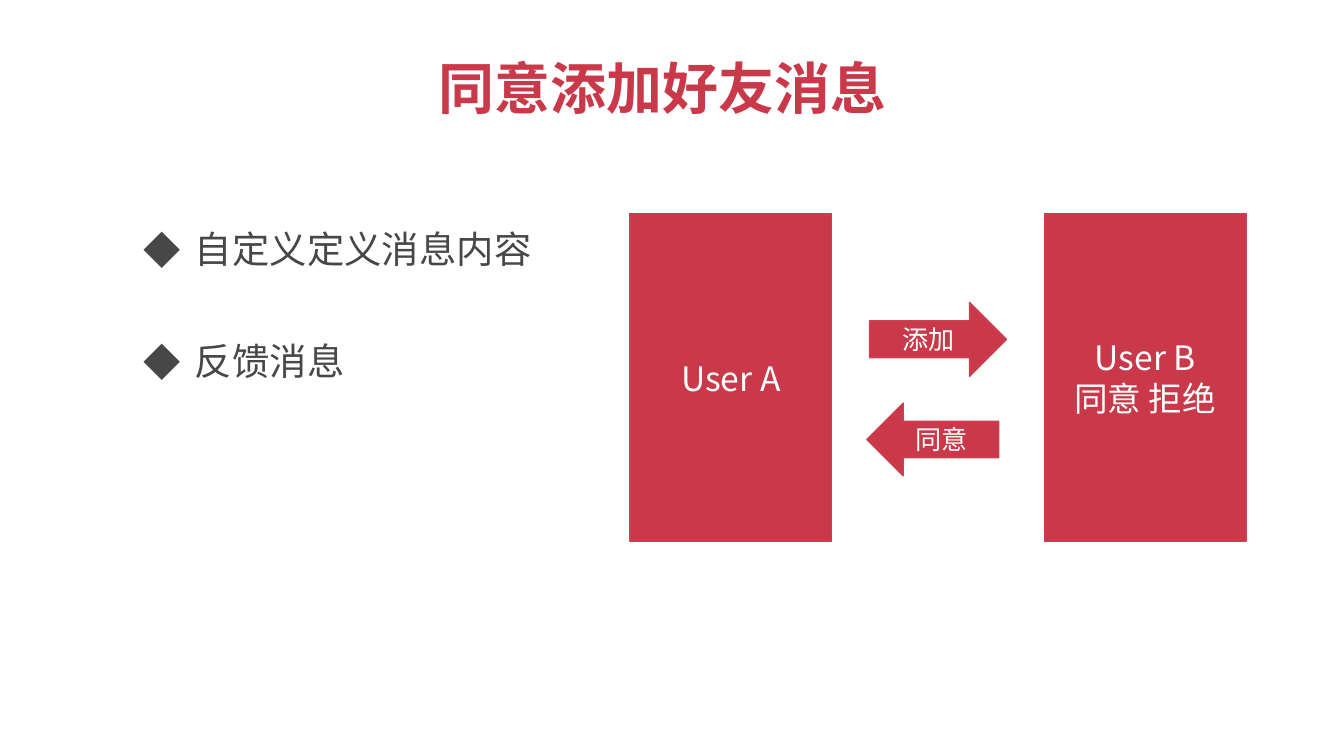
from lxml import etree
from pptx import Presentation
from pptx.dml.color import RGBColor
from pptx.enum.shapes import MSO_SHAPE
from pptx.enum.text import MSO_ANCHOR, MSO_AUTO_SIZE, PP_ALIGN
from pptx.oxml.ns import qn
from pptx.util import Pt

RECT, RIGHT, LEFT = MSO_SHAPE.RECTANGLE, MSO_SHAPE.RIGHT_ARROW, MSO_SHAPE.LEFT_ARROW
MID, FIXED = MSO_ANCHOR.MIDDLE, MSO_AUTO_SIZE.NONE
START, CENTER = PP_ALIGN.LEFT, PP_ALIGN.CENTER
FACE = "Noto Sans CJK SC"
RED, EDGE, GREY, WHITE = "C9394A", "C94251", "474747", "FFFFFF"

TITLE = "同意添加好友消息"
POINTS = ["自定义定义消息内容", "反馈消息"]
USERS = [["User A"], ["User B", "同意 拒绝"]]
ARROWS = [
    (RIGHT, "添加", (465.8, 162, 73.4, 39.6)),
    (LEFT, "同意", (464.4, 216, 70.6, 38.9)),
]


def color(code):
    return RGBColor.from_string(code)


def place(shape, box):
    for name, value in zip(("left", "top", "width", "height"), box):
        setattr(shape, name, Pt(value))


def write(shape, lines, size, tint, align=CENTER, bold=False):
    frame = shape.text_frame
    form = {"word_wrap": True, "auto_size": FIXED, "vertical_anchor": MID}
    for name, value in form.items():
        setattr(frame, name, value)
    frame.text = "\n".join(lines)
    look = {"size": Pt(size), "name": FACE, "bold": bold}
    for para in frame.paragraphs:
        para.alignment = align
        para.space_before = Pt(0)
        for run in para.runs:
            run.font.color.rgb = color(tint)
            for name, value in look.items():
                setattr(run.font, name, value)
            latin = run.font._element.find(qn("a:latin"))
            asian = etree.Element(qn("a:ea"), typeface=FACE)
            latin.addnext(asian)


def bullet(para):
    para.level = 1
    props = para._p.get_or_add_pPr()
    props.set("marL", str(Pt(63.4)))
    props.set("indent", str(Pt(-27.4)))
    etree.SubElement(props, qn("a:buFont"), typeface=FACE)
    etree.SubElement(props, qn("a:buChar"), char="◆")


def block(slide, kind, lines, size, box):
    shape = slide.shapes.add_shape(kind, *map(Pt, box))
    shape.shadow.inherit = False
    shape.fill.solid()
    shape.fill.fore_color.rgb = color(RED)
    shape.line.color.rgb = color(EDGE)
    shape.line.width = Pt(0.75)
    write(shape, lines, size, WHITE)


def main():
    deck = Presentation()
    deck.slide_width, deck.slide_height = Pt(720), Pt(405)
    slide = deck.slides.add_slide(deck.slide_layouts[3])

    title, *bodies = list(slide.placeholders)[:3]
    place(title, (31, 26.6, 648, 40.3))
    write(title, [TITLE], 30, RED, bold=True)

    for row, (body, text) in enumerate(zip(bodies, POINTS)):
        place(body, (33.8, 117.4 + row * 59.8, 674.6, 31.7))
        write(body, [text], 20, GREY, START)
        bullet(body.text_frame.paragraphs[0])

    for col, lines in enumerate(USERS):
        block(slide, RECT, lines, 18, (337.5 + col * 222, 114.5, 108, 175.7))
    for kind, text, box in ARROWS:
        block(slide, kind, [text], 14, box)

    for spare in list(slide.placeholders):
        if not spare.text_frame.text:
            spare._element.getparent().remove(spare._element)
    deck.save("out.pptx")


if __name__ == "__main__":
    main()
